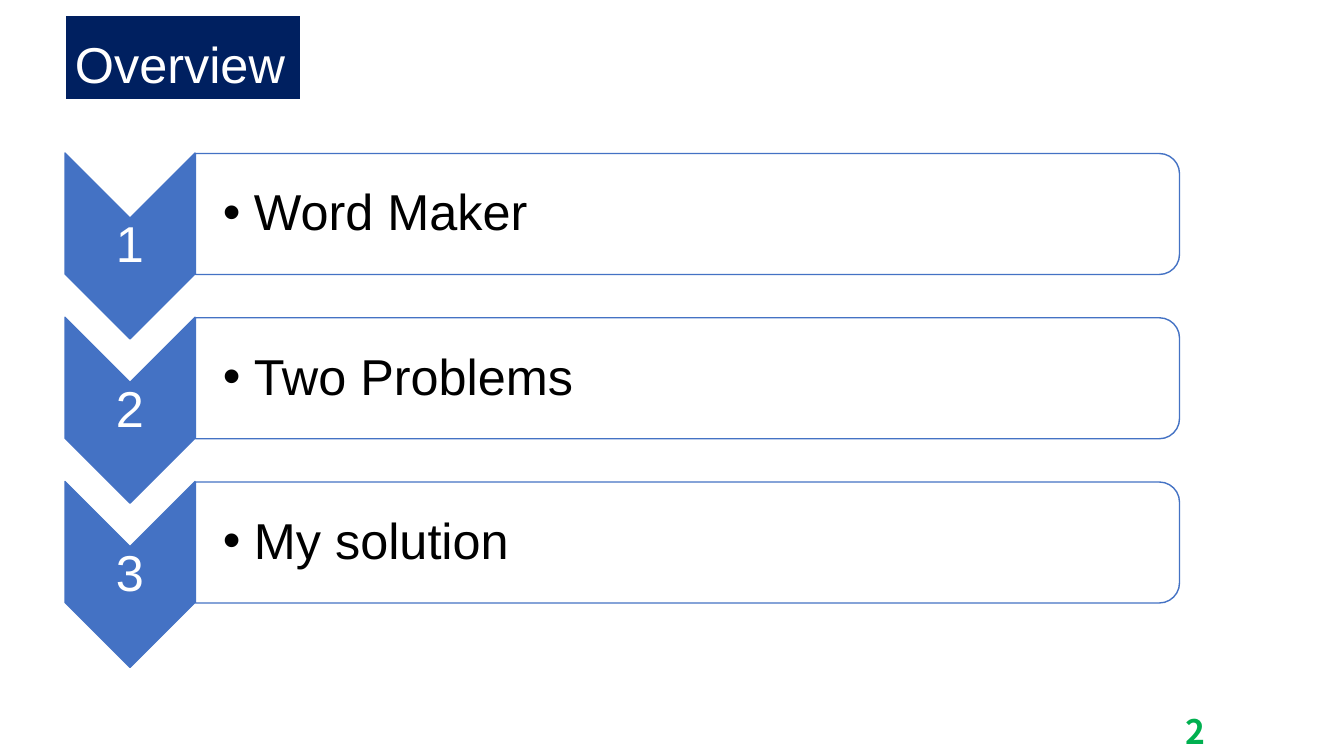
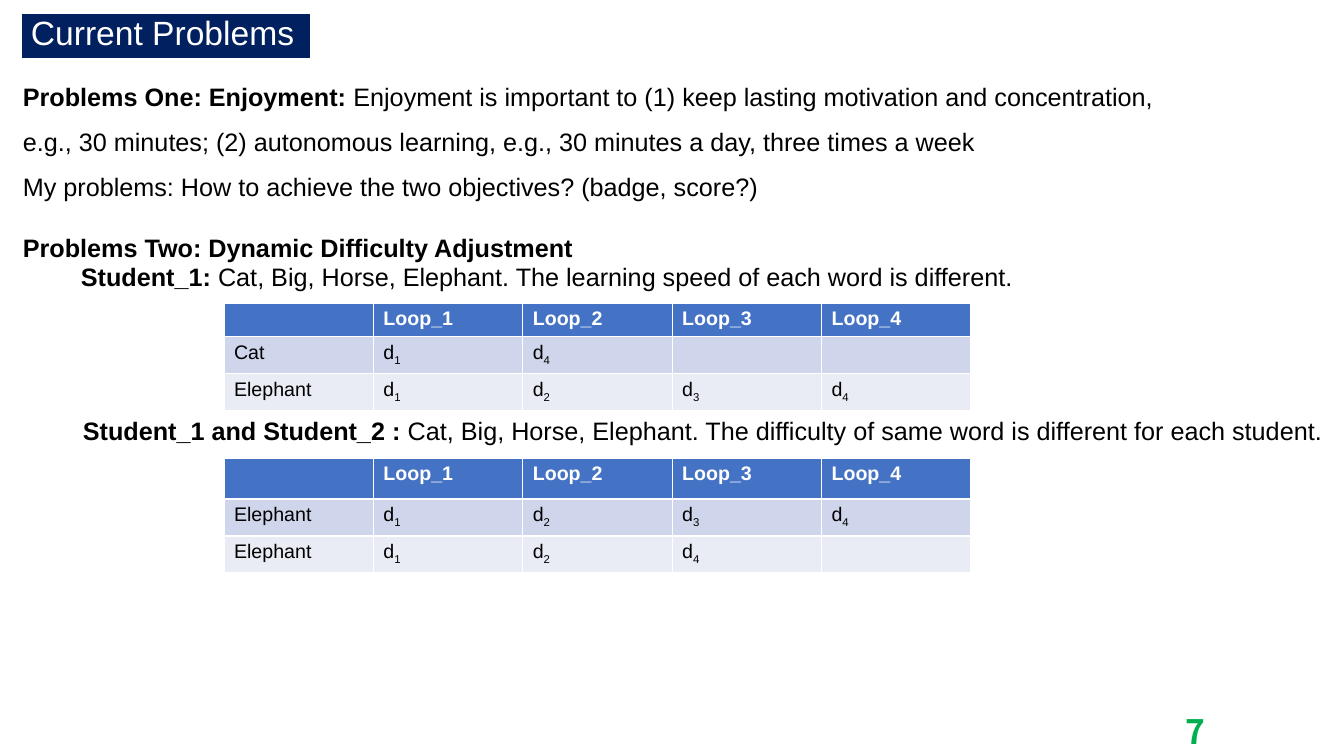
from pptx import Presentation
from pptx.dml.color import RGBColor
from pptx.enum.shapes import MSO_SHAPE
from pptx.enum.text import MSO_ANCHOR, PP_ALIGN
from pptx.oxml.ns import qn
from pptx.util import Pt
from lxml.etree import SubElement

SCALE = 914400 / 100.8
NAVY, BLUE, GREEN = "002060", "4472C4", "00B050"
WHITE, BLACK = "FFFFFF", "000000"
BANDS = [BLUE, "CFD5EA", "E9EBF5"]

TOPICS = ["Word Maker", "Two Problems", "My solution"]
PROBLEMS = [
    (1.5, [("Problems One: Enjoyment: ", True),
           ("Enjoyment is important to (1) keep lasting motivation and "
            "concentration, e.g., 30 minutes; (2) autonomous learning, "
            "e.g., 30 minutes a day, three times a week", False)]),
    (1.5, [("My problems: How to achieve the two objectives? "
            "(badge, score?)", False)]),
    (2, [("Problems Two: Dynamic Difficulty Adjustment", True)]),
]
HEAD = ["", "Loop_1", "Loop_2", "Loop_3", "Loop_4"]
CASES = [
    {"box": (71, 256, 968, 40), "who": "Student_1: ",
     "note": "Cat, Big, Horse, Elephant. "
             "The learning speed of each word is different.",
     "top": 303, "rows": (33, 37, 37),
     "words": [("Cat", "14"), ("Elephant", "1234")]},
    {"box": (73, 410, 1271, 40), "who": "Student_1 and Student_2 : ",
     "note": "Cat, Big, Horse, Elephant. "
             "The difficulty of same word is different for each student.",
     "top": 458, "rows": (41, 37, 36),
     "words": [("Elephant", "1234"), ("Elephant", "124")]},
]


def px(n):
    return round(n * SCALE)


def rgb(code):
    return RGBColor.from_string(code)


def style(run, size, color, bold=False, face="Arial"):
    font = run.font
    font.size, font.bold, font.name = Pt(size), bold, face
    font.color.rgb = rgb(color)
    rpr = run._r.get_or_add_rPr()
    SubElement(rpr, qn("a:ea"), typeface=face)


def write(para, runs, size, color, gap=1, face="Arial"):
    para.line_spacing = gap
    for text, bold in runs:
        run = para.add_run()
        run.text = text
        style(run, size, color, bold, face)


def text_box(slide, box, wrap=True):
    frame = slide.shapes.add_textbox(*map(px, box)).text_frame
    frame.word_wrap = wrap
    return frame


def shape(slide, kind, box, fill, line, width):
    item = slide.shapes.add_shape(kind, *map(px, box))
    item.shadow.inherit = False
    item.fill.solid()
    item.fill.fore_color.rgb = rgb(fill)
    item.line.color.rgb = rgb(line)
    item.line.width = Pt(width)
    return item


def new_slide(title, box, size, gap, number):
    slide = deck.slides.add_slide(deck.slide_layouts[6])
    foot = text_box(slide, (1176, 706, 124, 50))
    write(foot.paragraphs[0], [(number, True)], 24, GREEN,
          face="Noto Sans CJK SC")
    frame = shape(slide, MSO_SHAPE.RECTANGLE, box, NAVY, WHITE, 1.5).text_frame
    frame.vertical_anchor = MSO_ANCHOR.BOTTOM
    frame.margin_bottom = px(6)
    para = frame.paragraphs[0]
    para.alignment = PP_ALIGN.LEFT
    write(para, [(title, False)], size, WHITE, gap)
    return slide


def step_text(slide, box, text, color, left):
    frame = text_box(slide, box)
    frame.vertical_anchor = MSO_ANCHOR.MIDDLE
    frame.margin_left = px(left)
    frame.margin_top = frame.margin_right = frame.margin_bottom = px(3)
    write(frame.paragraphs[0], [(text, False)], 36, color, 0.9)
    return frame.paragraphs[0]


def add_step(slide, index, topic):
    drop = index * 164.25
    mark = shape(slide, MSO_SHAPE.CHEVRON, (37, 181 + drop, 186, 130),
                 BLUE, BLUE, 1)
    panel = shape(slide, MSO_SHAPE.ROUND_2_SAME_RECTANGLE,
                  (627, -278 + drop, 121, 984), WHITE, BLUE, 1)
    mark.rotation = panel.rotation = 90
    label = step_text(slide, (65, 219 + drop, 130, 55), str(index + 1),
                      WHITE, 3)
    label.alignment = PP_ALIGN.CENTER
    para = step_text(slide, (195, 160 + drop, 978, 109), topic, BLACK, 28)
    ppr = para._p.get_or_add_pPr()
    ppr.set("marL", str(px(31)))
    ppr.set("indent", str(px(-31)))
    SubElement(ppr, qn("a:buFont"), typeface="Arial")
    SubElement(ppr, qn("a:buChar"), char="•")


def fill_cell(cell, text, row, sub=""):
    cell.fill.solid()
    cell.fill.fore_color.rgb = rgb(BANDS[row])
    para = cell.text_frame.paragraphs[0]
    if not text:
        SubElement(para._p, qn("a:endParaRPr"), sz="1400")
        return
    runs = [(part, row == 0) for part in (text, sub) if part]
    write(para, runs, 14, BLACK if row else WHITE)
    if sub:
        para.runs[1]._r.get_or_add_rPr().set("baseline", "-25000")


def add_case(slide, case):
    note = text_box(slide, case["box"], False)
    write(note.paragraphs[0], [(case["who"], True), (case["note"], False)],
          18, BLACK)
    rows = case["rows"]
    table = slide.shapes.add_table(
        len(rows), len(HEAD), px(224), px(case["top"]), px(747),
        px(sum(rows))).table
    for row, high in zip(table.rows, rows):
        row.height = px(high)
    for col, name in enumerate(HEAD):
        fill_cell(table.cell(0, col), name, 0)
    for row, (word, levels) in enumerate(case["words"], 1):
        fill_cell(table.cell(row, 0), word, row)
        for col, level in enumerate(levels.ljust(4), 1):
            level = level.strip()
            fill_cell(table.cell(row, col), "d" if level else "", row, level)


deck = Presentation()
deck.slide_width, deck.slide_height = px(1344), px(756)

overview = new_slide("Overview", (65, 15, 236, 85), 36, 1, "2")
for index, topic in enumerate(TOPICS):
    add_step(overview, index, topic)

problems = new_slide("Current Problems", (21, 13, 290, 46), 24, 0.9, "7")
body = text_box(problems, (13, 61, 1205, 505))
for index, (gap, runs) in enumerate(PROBLEMS):
    para = body.add_paragraph() if index else body.paragraphs[0]
    write(para, runs, 18, BLACK, gap)
for case in CASES:
    add_case(problems, case)

deck.save("out.pptx")
